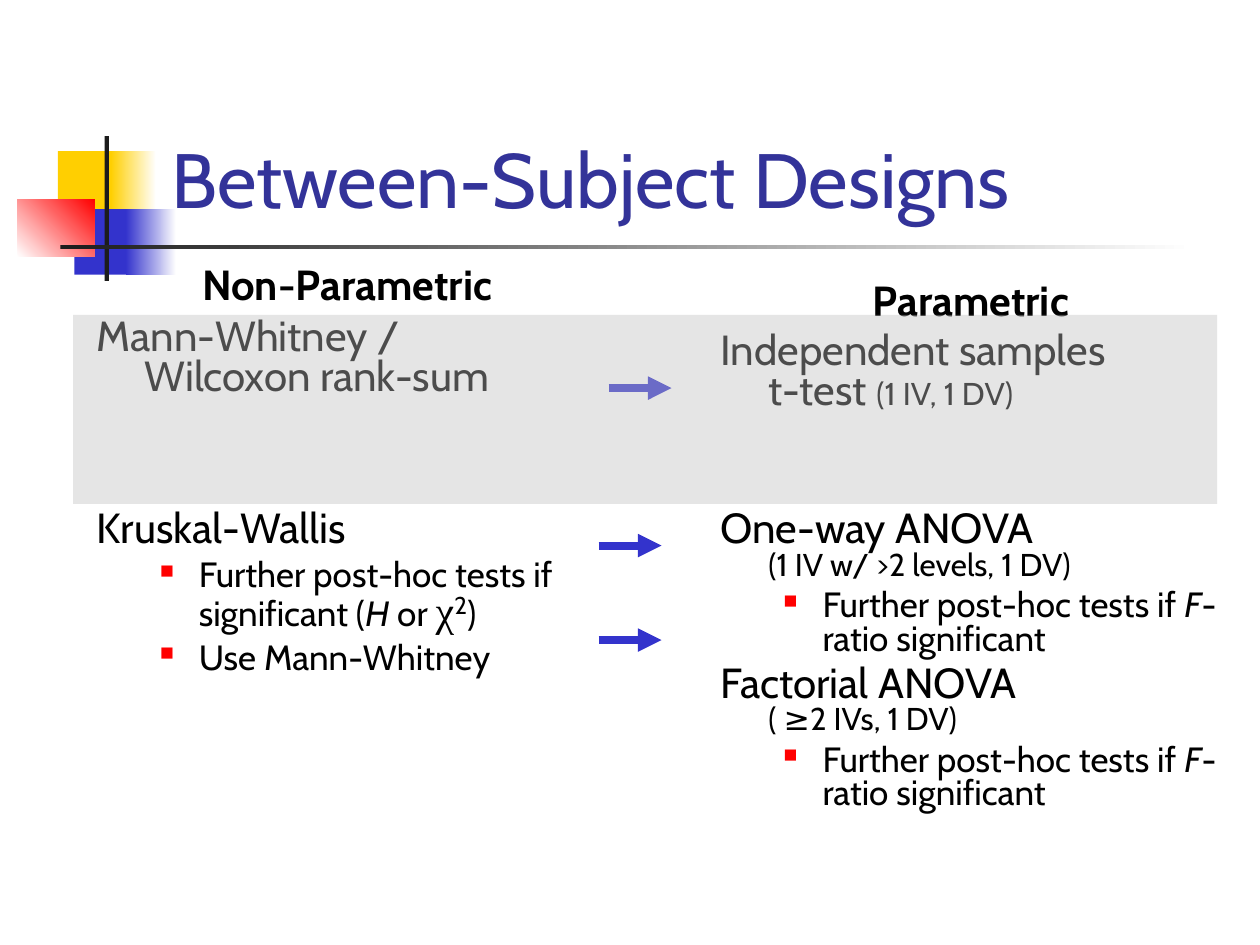
from pptx import Presentation
from pptx.dml.color import RGBColor
from pptx.enum.shapes import MSO_CONNECTOR, MSO_SHAPE
from pptx.enum.text import MSO_ANCHOR, PP_ALIGN
from pptx.oxml.ns import qn
from pptx.util import Inches, Pt
from lxml import etree

RECT = MSO_SHAPE.RECTANGLE
STRAIGHT = MSO_CONNECTOR.STRAIGHT
BOTTOM = MSO_ANCHOR.BOTTOM
TOP = MSO_ANCHOR.TOP
CENTER = PP_ALIGN.CENTER
LEFT = PP_ALIGN.LEFT

GOLD = RGBColor(0xFF, 0xCF, 0x01)
BLUE = RGBColor(0x33, 0x33, 0xCC)
NAVY = RGBColor(0x33, 0x33, 0x99)
RED = RGBColor(0xFF, 0x00, 0x00)
DARK = RGBColor(0x1C, 0x1C, 0x1C)
GREY = RGBColor(0xC0, 0xC0, 0xC0)
WHITE = RGBColor(0xFF, 0xFF, 0xFF)
BLACK = RGBColor(0x00, 0x00, 0x00)

COLS, ROWS = 100, 75


def add(parent, tag, **attrs):
    node = etree.SubElement(parent, qn(tag))
    for key, value in attrs.items():
        node.set(key, str(value))
    return node


def put(par, text, size=24, bold=False, ital=False, face="Cabin", ink=BLACK, rise=0):
    for i, line in enumerate(text.split("\n")):
        if i:
            par.add_line_break()
        if not line:
            continue
        run = par.add_run()
        run.text = line
        font = run.font
        font.size, font.bold, font.italic = Pt(size), bold, ital
        font.name, font.color.rgb = face, ink
        if rise:
            run._r.get_or_add_rPr().set("baseline", str(rise * 1000))


class Deck:
    def __init__(self):
        self.prs = Presentation()
        self.prs.slide_width, self.prs.slide_height = Inches(10), Inches(7.5)
        self.col = self.prs.slide_width / COLS
        self.row = self.prs.slide_height / ROWS
        self.slide = self.prs.slides.add_slide(self.prs.slide_layouts[6])

    def place(self, x, y, w, h):
        return [int(v) for v in (x * self.col, y * self.row, w * self.col, h * self.row)]

    def block(self, x, y, w, h, ink, fade=None, angle=0, alpha=None):
        shape = self.slide.shapes.add_shape(RECT, *self.place(x, y, w, h))
        shape.shadow.inherit = False
        shape.line.fill.background()
        if fade is None:
            shape.fill.solid()
            shape.fill.fore_color.rgb = ink
        else:
            shape.fill.gradient()
            shape.fill.gradient_angle = angle
            for stop, shade in zip(shape.fill.gradient_stops, (ink, fade)):
                stop.color.rgb = shade
        if alpha:
            tint = shape._element.spPr.find(qn("a:solidFill"))[0]
            add(tint, "a:alpha", val=alpha * 1000)

    def arrow(self, x, y, w):
        line = self.slide.shapes.add_connector(STRAIGHT, *self.place(x, y, x + w, y))
        line.line.color.rgb = BLUE
        line.line.width = Pt(4.5)
        props = line._element.spPr
        add(props.find(qn("a:ln")), "a:tailEnd", type="triangle")
        add(props, "a:effectLst")

    def box(self, x, y, w, h, anchor=TOP):
        frame = self.slide.shapes.add_textbox(*self.place(x, y, w, h)).text_frame
        frame.word_wrap = True
        frame.vertical_anchor = anchor
        return frame

    def title(self, text, *spot):
        put(self.box(*spot, anchor=BOTTOM).paragraphs[0], text, size=44, ink=NAVY)

    def body(self, head, items, *spot):
        frame = self.box(*spot)
        par = frame.paragraphs[0]
        self.shape_par(par, 0, align=CENTER)
        put(par, head, bold=True)
        for level, gap, parts in items:
            par = frame.add_paragraph()
            self.shape_par(par, gap, level)
            for text, style in parts:
                put(par, text, **style)

    def shape_par(self, par, gap, level=0, align=LEFT):
        par.alignment, par.level = align, level
        par.line_spacing, par.space_before = 0.8, Pt(gap)
        props = par._p.get_or_add_pPr()
        left, hang = ((0.38, 0.38), (0.81, 0.31))[level]
        props.set("marL", str(Inches(left)))
        props.set("indent", str(-Inches(hang)))
        if level:
            add(add(props, "a:buClr"), "a:srgbClr", val=RED)
            add(props, "a:buSzPct", val=55000)
            add(props, "a:buChar", char="■")


def main():
    deck = Deck()
    deck.block(4.6, 12, 4.8, 5.2, GOLD)
    deck.block(8.8, 12, 3.6, 5.2, GOLD, WHITE)
    deck.block(5.9, 16.6, 4.6, 5.2, BLUE)
    deck.block(10, 16.6, 4, 5.2, BLUE, WHITE)
    deck.block(1.4, 15.8, 6.1, 4.6, WHITE, RED, angle=45)
    deck.block(8.3, 10.8, 0.35, 11.5, DARK)
    deck.block(4.8, 19.45, 90, 0.35, DARK, WHITE)
    deck.title("Between-Subject Designs", 12.6, 2.3, 85.2, 16)

    big, mid, small = {}, {"size": 20}, {"size": 18}
    slant = {"size": 20, "ital": True}
    ratio = (1, 5, [("Further post-hoc tests if ", mid), ("F", slant),
                    ("-ratio significant", mid)])
    deck.body("Non-Parametric", [
        (0, 6, [("Mann-Whitney /\nWilcoxon rank-sum", big)]),
        (0, 64, [("Kruskal-Wallis", big)]),
        (1, 5, [("Further post-hoc tests if significant (", mid), ("H", slant),
                (" or ", mid), ("χ", {"face": "Times New Roman"}),
                ("2", {"rise": 30}), (")", mid)]),
        (1, 5, [("Use Mann-Whitney", mid)]),
    ], 6.7, 20.8, 41.7, 45)
    deck.body("Parametric", [
        (0, 4.5, [("Independent samples\nt-test ", big), ("(1 IV, 1 DV)", small)]),
        (0, 56, [("One-way ANOVA\n", big), ("(1 IV w/ >2 levels, 1 DV)", small)]),
        ratio,
        (0, 4.5, [("Factorial ANOVA\n", big), ("( ≥2 IVs, 1 DV)", small)]),
        ratio,
    ], 56.2, 22.1, 41.7, 45)

    for x, y in ((48.3, 30.8), (47.5, 43.3), (47.5, 50.8)):
        deck.arrow(x, y, 5)
    deck.block(5.8, 25, 90.8, 15, GREY, alpha=40)
    deck.prs.save("out.pptx")


if __name__ == "__main__":
    main()
